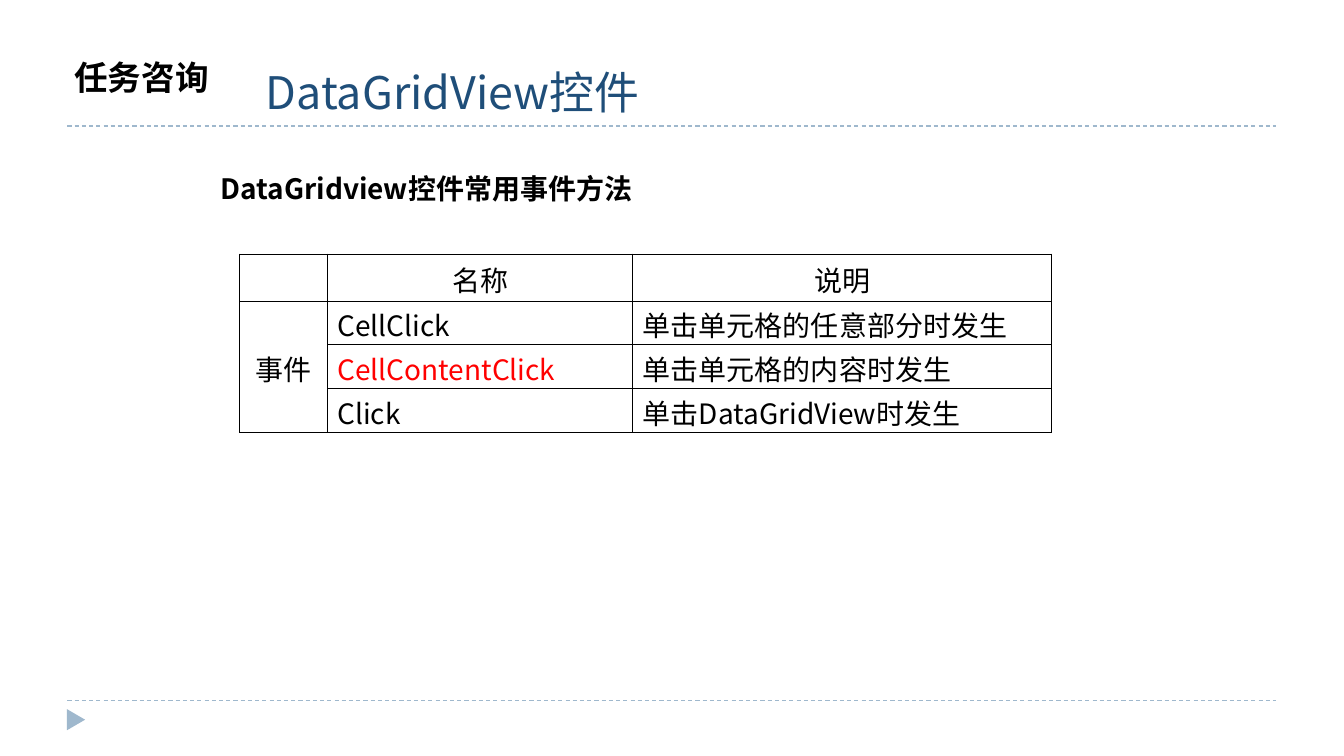
from dataclasses import dataclass

import pptx
import pptx.dml.color
import pptx.enum.dml
import pptx.enum.shapes
import pptx.enum.text
import pptx.oxml
import pptx.oxml.ns
import pptx.util
from lxml import etree

COLORS = {"title": "1F4E79", "text": "000000", "accent": "FF0000", "rule": "9FB8CD"}
SANS_SC, SANS_JP = "Noto Sans CJK SC", "Noto Sans CJK JP"
WIDTH, HEIGHT = pptx.util.Inches(13.34), pptx.util.Inches(7.5)
MIDDLE = pptx.enum.text.MSO_ANCHOR.MIDDLE
TOP = pptx.enum.text.MSO_ANCHOR.TOP
LEFT = pptx.enum.text.PP_ALIGN.LEFT
CENTER = pptx.enum.text.PP_ALIGN.CENTER


@dataclass(frozen=True)
class Box:
    """Place and size in percent of the slide."""
    left: float
    top: float
    width: float
    height: float

    def emu(self) -> tuple:
        return across(self.left), down(self.top), across(self.width), down(self.height)


@dataclass(frozen=True)
class Style:
    size: float
    name: str = SANS_SC
    bold: bool = False
    color: str = "text"


@dataclass(frozen=True)
class Label:
    text: str
    box: Box
    style: Style
    anchor: int = TOP
    wrap: bool = True
    line_spacing: float = 1.0


LABELS = [
    Label("DataGridView控件", Box(19.04, 7.87, 69.94, 8.53), Style(32, color="title")),
    Label("任务咨询", Box(4.8, 7.87, 13.04, 6.13), Style(24, SANS_JP, True),
          line_spacing=0.8),
    Label("DataGridview控件常用事件方法", Box(15.67, 22, 32.91, 5.87),
          Style(20, bold=True), MIDDLE, False),
]
RULE_LEFT, RULE_RIGHT = 5.02, 94.98
RULE_TOPS = [92.67, 16.67]
MARKER = Box(4.87, 94, 1.57, 2.4)

TABLE_LEFT, TABLE_TOP = 17.84, 33.6
COLUMN_WIDTHS = [6.52, 22.72, 31.18]
ROW_HEIGHTS = [6.2, 5.8, 5.8, 5.8]
EVENTS = [
    ["", "名称", "说明"],
    ["事件", "CellClick", "单击单元格的任意部分时发生"],
    ["", "CellContentClick", "单击单元格的内容时发生"],
    ["", "Click", "单击DataGridView时发生"],
]
HIGHLIGHT = "CellContentClick"


def across(percent: float) -> int:
    return round(WIDTH * percent / 100)


def down(percent: float) -> int:
    return round(HEIGHT * percent / 100)


def rgb(color: str) -> pptx.dml.color.RGBColor:
    return pptx.dml.color.RGBColor.from_string(COLORS[color])


def write(p, text: str, style: Style) -> None:
    r = p.add_run()
    r.text = text
    formats = {"size": pptx.util.Pt(style.size), "name": style.name, "bold": style.bold}
    for key, value in formats.items():
        setattr(r.font, key, value)
    r.font.color.rgb = rgb(style.color)
    ea = etree.SubElement(r.font._element, pptx.oxml.ns.qn("a:ea"))
    ea.set("typeface", style.name)


def add_label(s, label: Label) -> None:
    tf = s.shapes.add_textbox(*label.box.emu()).text_frame
    formats = {"word_wrap": label.wrap, "vertical_anchor": label.anchor}
    for key, value in formats.items():
        setattr(tf, key, value)
    p = tf.paragraphs[0]
    p.line_spacing = label.line_spacing
    write(p, label.text, label.style)


def add_rule(s, top: float) -> None:
    line = s.shapes.add_connector(
        pptx.enum.shapes.MSO_CONNECTOR.STRAIGHT,
        across(RULE_LEFT), down(top), across(RULE_RIGHT), down(top))
    line.line.color.rgb = rgb("rule")
    line.line.width = pptx.util.Pt(0.75)
    line.line.dash_style = pptx.enum.dml.MSO_LINE.DASH
    etree.SubElement(line._element.spPr, pptx.oxml.ns.qn("a:effectLst"))


def add_marker(s) -> None:
    sp = s.shapes.add_shape(
        pptx.enum.shapes.MSO_SHAPE.ISOSCELES_TRIANGLE, *MARKER.emu())
    sp.rotation = 90
    sp.shadow.inherit = False
    sp.fill.solid()
    sp.fill.fore_color.rgb = rgb("rule")
    sp.line.fill.background()


def add_borders(cell) -> None:
    tc_pr = cell._tc.get_or_add_tcPr()
    for side in ("lnL", "lnR", "lnT", "lnB"):
        tc_pr.append(pptx.oxml.parse_xml(
            f'<a:{side} {pptx.oxml.ns.nsdecls("a")} w="{pptx.util.Pt(0.45)}">'
            f'<a:solidFill><a:srgbClr val="{COLORS["text"]}"/></a:solidFill>'
            f'</a:{side}>'))


def fill_cell(cell, text: str, align: int) -> None:
    add_borders(cell)
    cell.fill.background()
    formats = {"vertical_anchor": MIDDLE, "margin_top": pptx.util.Inches(0.03),
               "margin_bottom": 0}
    for key, value in formats.items():
        setattr(cell, key, value)
    p = cell.text_frame.paragraphs[0]
    p.alignment = align
    if text:
        write(p, text, Style(20, color="accent" if text == HIGHLIGHT else "text"))


def add_event_table(s) -> None:
    box = Box(TABLE_LEFT, TABLE_TOP, sum(COLUMN_WIDTHS), sum(ROW_HEIGHTS))
    table = s.shapes.add_table(len(EVENTS), len(EVENTS[0]), *box.emu()).table
    for column, width in zip(table.columns, COLUMN_WIDTHS):
        column.width = across(width)
    for row, height in zip(table.rows, ROW_HEIGHTS):
        row.height = down(height)
    for i, texts in enumerate(EVENTS):
        for j, text in enumerate(texts):
            fill_cell(table.cell(i, j), text, CENTER if i == 0 or j == 0 else LEFT)
    table.cell(1, 0).merge(table.cell(len(EVENTS) - 1, 0))


def main() -> None:
    prs = pptx.Presentation()
    prs.slide_width, prs.slide_height = WIDTH, HEIGHT
    s = prs.slides.add_slide(prs.slide_layouts[6])
    for top in RULE_TOPS:
        add_rule(s, top)
    add_marker(s)
    for label in LABELS:
        add_label(s, label)
    add_event_table(s)
    prs.save("out.pptx")


if __name__ == "__main__":
    main()
